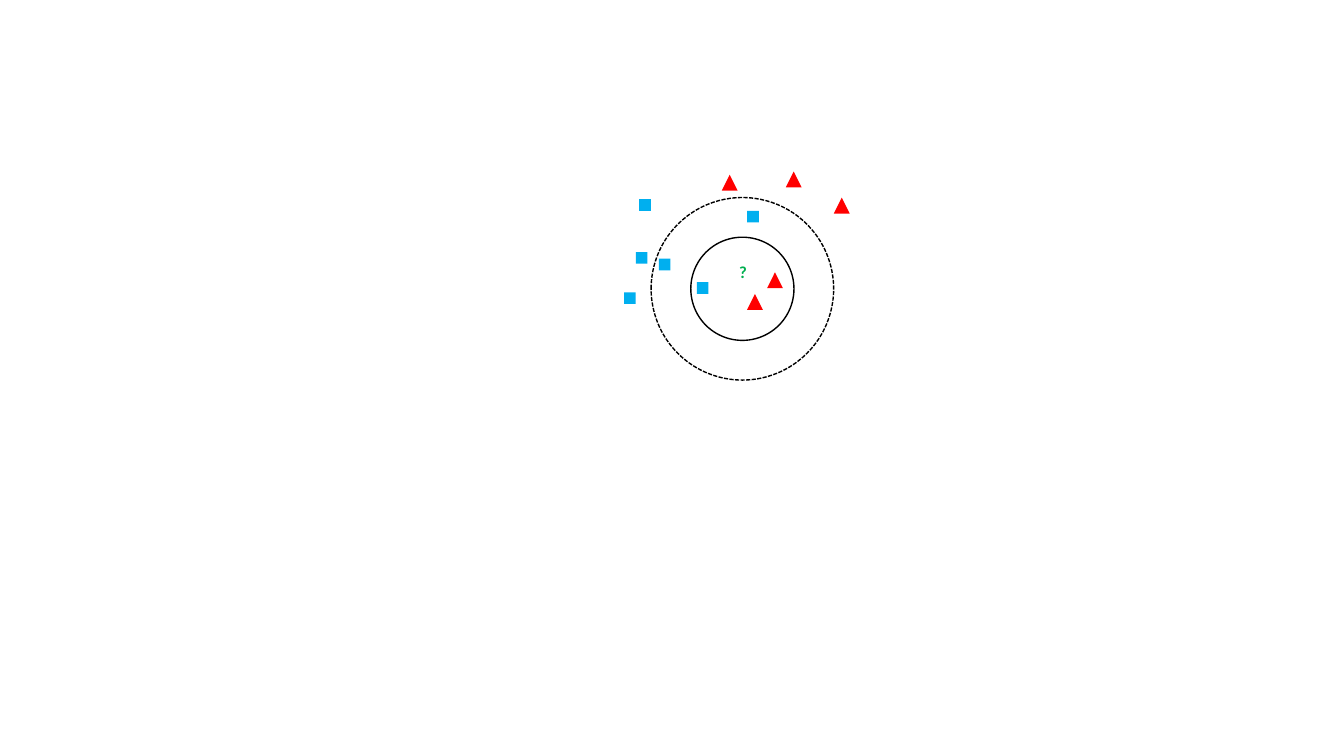
from pptx import Presentation
from pptx.dml.color import RGBColor
from pptx.enum import dml, shapes, text
from pptx.util import Pt

BLUE = RGBColor(0x00, 0xAF, 0xEF)
RED = RGBColor(0xFF, 0x00, 0x00)
GREEN = RGBColor(0x00, 0xAF, 0x50)
BLACK = RGBColor(0x00, 0x00, 0x00)

SQUARES = [(454.2, 180), (456.6, 142.3), (533.7, 150.6),
           (445.8, 208.8), (470.6, 184.8), (497.7, 201.6)]
TRIANGLES = [(515.6, 124.8), (561.3, 122.5), (595.6, 141.2),
             (533.6, 210), (547.9, 194.5)]
CENTER = (530.3, 206.3)


class Diagram:
    font = "Calibri"
    square_size = 8.3
    triangle_size = 11.3

    def __init__(self, s):
        self.s = s

    def shape(self, kind, x, y, size):
        sp = self.s.shapes.add_shape(kind, Pt(x), Pt(y), Pt(size), Pt(size))
        sp.shadow.inherit = False
        return sp

    def marker(self, kind, x, y, size, color):
        sp = self.shape(kind, x, y, size)
        sp.fill.solid()
        sp.fill.fore_color.rgb = color
        sp.line.fill.background()

    def square(self, x, y):
        self.marker(shapes.MSO_SHAPE.RECTANGLE, x, y, self.square_size, BLUE)

    def triangle(self, x, y):
        self.marker(shapes.MSO_SHAPE.ISOSCELES_TRIANGLE, x, y, self.triangle_size, RED)

    def ring(self, center, diameter, dash=None):
        x, y = (c - diameter / 2 for c in center)
        sp = self.shape(shapes.MSO_SHAPE.OVAL, x, y, diameter)
        sp.fill.background()
        sp.line.color.rgb = BLACK
        sp.line.width = Pt(1)
        if dash:
            sp.line.dash_style = dash

    def label(self, words, x, y, w, h, size, color):
        tf = self.s.shapes.add_textbox(Pt(x), Pt(y), Pt(w), Pt(h)).text_frame
        tf.word_wrap = True
        tf.auto_size = text.MSO_AUTO_SIZE.SHAPE_TO_FIT_TEXT
        tf.margin_left, tf.margin_top = Pt(0.9), Pt(1.7)
        tf.margin_right = tf.margin_bottom = 0
        r = tf.paragraphs[0].add_run()
        r.text = words
        r.font.name = self.font
        r.font.size = Pt(size)
        r.font.bold = True
        r.font.color.rgb = color


def main():
    prs = Presentation()
    prs.slide_width, prs.slide_height = Pt(960), Pt(540)
    d = Diagram(prs.slides.add_slide(prs.slide_layouts[6]))
    for x, y in SQUARES:
        d.square(x, y)
    d.ring(CENTER, 130.4, dml.MSO_LINE.SQUARE_DOT)
    d.ring(CENTER, 73.7)
    for x, y in TRIANGLES:
        d.triangle(x, y)
    d.label("?", 527, 185, 8, 16.6, 12, GREEN)
    prs.save("out.pptx")


if __name__ == "__main__":
    main()
